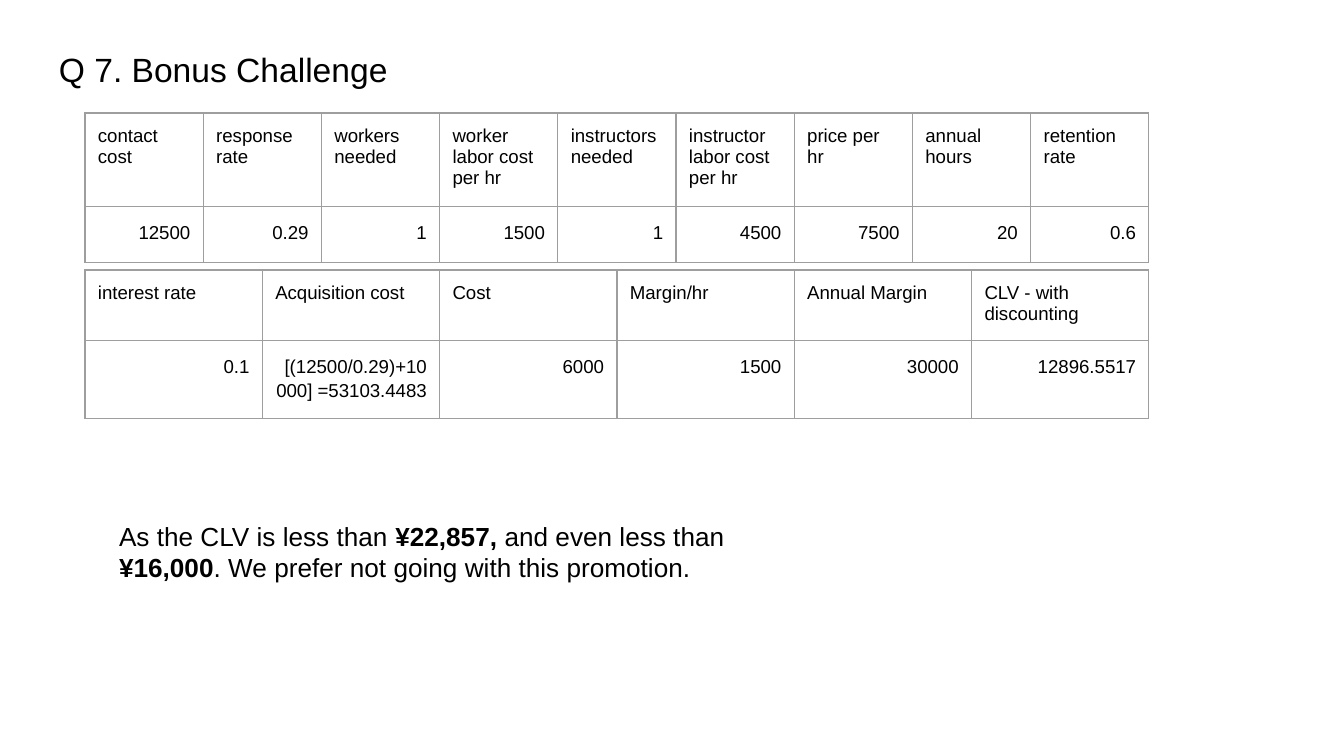
from dataclasses import dataclass

from lxml.etree import SubElement
from pptx import Presentation
from pptx.dml.color import RGBColor
from pptx.enum.text import MSO_ANCHOR, PP_ALIGN
from pptx.oxml.ns import qn
from pptx.slide import Slide
from pptx.table import _Cell
from pptx.text.text import TextFrame, _Paragraph
from pptx.util import Emu, Pt

EMU_PER_PX = 914400 / 134.4
COLORS = {"text": "000000", "border": "9E9E9E"}
FONT = "Arial"
INSET = 13
TABLE_LEFT, TABLE_WIDTH = 85, 1064
BORDER_WIDTH = Pt(0.75)


@dataclass(frozen=True)
class Span:
    text: str
    bold: bool = False


@dataclass(frozen=True)
class TextBlock:
    left: int
    top: int
    width: int
    height: int
    size: int
    spans: tuple[Span, ...]


@dataclass(frozen=True)
class Grid:
    top: int
    row_heights: tuple[int, int]
    columns: tuple[tuple[str, str], ...]  # heading and value


TITLE = TextBlock(46, 36, 1253, 85, 18, (Span("Q 7. Bonus Challenge"),))
CONCLUSION = TextBlock(106, 507, 715, 133, 14, (
    Span("As the CLV is less than "),
    Span("¥22,857,", True),
    Span(" and even less than "),
    Span("¥16,000", True),
    Span(". We prefer not going with this promotion."),
))

INPUTS = Grid(113, (90, 56), (
    ("contact cost", "12500"),
    ("response rate", "0.29"),
    ("workers needed", "1"),
    ("worker labor cost per hr", "1500"),
    ("instructors needed", "1"),
    ("instructor labor cost per hr", "4500"),
    ("price per hr", "7500"),
    ("annual hours", "20"),
    ("retention rate", "0.6"),
))
RESULTS = Grid(270, (69, 75), (
    ("interest rate", "0.1"),
    ("Acquisition cost", "[(12500/0.29)+10000] =53103.4483"),
    ("Cost", "6000"),
    ("Margin/hr", "1500"),
    ("Annual Margin", "30000"),
    ("CLV - with discounting", "12896.5517"),
))


def px(length: int) -> Emu:
    return Emu(round(length * EMU_PER_PX))


def set_insets(holder: TextFrame | _Cell) -> None:
    holder.margin_left = holder.margin_right = px(INSET)
    holder.margin_top = holder.margin_bottom = px(INSET)
    holder.vertical_anchor = MSO_ANCHOR.TOP


def add_span(para: _Paragraph, span: Span, size: int) -> None:
    run = para.add_run()
    run.text = span.text
    run.font.name = FONT
    run.font.size = Pt(size)
    run.font.bold = span.bold
    run.font.color.rgb = RGBColor.from_string(COLORS["text"])


def add_text(page: Slide, block: TextBlock) -> None:
    box = page.shapes.add_textbox(
        px(block.left), px(block.top), px(block.width), px(block.height))
    frame = box.text_frame
    frame.word_wrap = True
    set_insets(frame)
    for span in block.spans:
        add_span(frame.paragraphs[0], span, block.size)


def add_borders(cell: _Cell) -> None:
    properties = cell._tc.get_or_add_tcPr()
    for side in ("lnL", "lnR", "lnT", "lnB"):
        line = SubElement(properties, qn(f"a:{side}"), w=str(BORDER_WIDTH))
        fill = SubElement(line, qn("a:solidFill"))
        SubElement(fill, qn("a:srgbClr"), val=COLORS["border"])


def fill_cell(cell: _Cell, text: str, is_value: bool) -> None:
    set_insets(cell)
    add_borders(cell)
    cell.fill.background()
    para = cell.text_frame.paragraphs[0]
    if is_value:
        para.alignment = PP_ALIGN.RIGHT
        para.line_spacing = 1.15
    add_span(para, Span(text), 10)


def add_grid(page: Slide, grid: Grid) -> None:
    count = len(grid.columns)
    table = page.shapes.add_table(
        2, count, px(TABLE_LEFT), px(grid.top),
        px(TABLE_WIDTH), px(sum(grid.row_heights))).table
    table.first_row = table.horz_banding = False
    for row, height in zip(table.rows, grid.row_heights):
        row.height = px(height)
    for column, texts in enumerate(grid.columns):
        table.columns[column].width = Emu(px(TABLE_WIDTH) // count)
        for row, text in enumerate(texts):
            fill_cell(table.cell(row, column), text, is_value=row == 1)


def main() -> None:
    deck = Presentation()
    deck.slide_width, deck.slide_height = px(1344), px(756)
    page = deck.slides.add_slide(deck.slide_layouts[6])

    # Title
    add_text(page, TITLE)

    # Campaign inputs and lifetime value results
    for grid in (INPUTS, RESULTS):
        add_grid(page, grid)

    # Conclusion
    add_text(page, CONCLUSION)

    deck.save("out.pptx")


if __name__ == "__main__":
    main()
